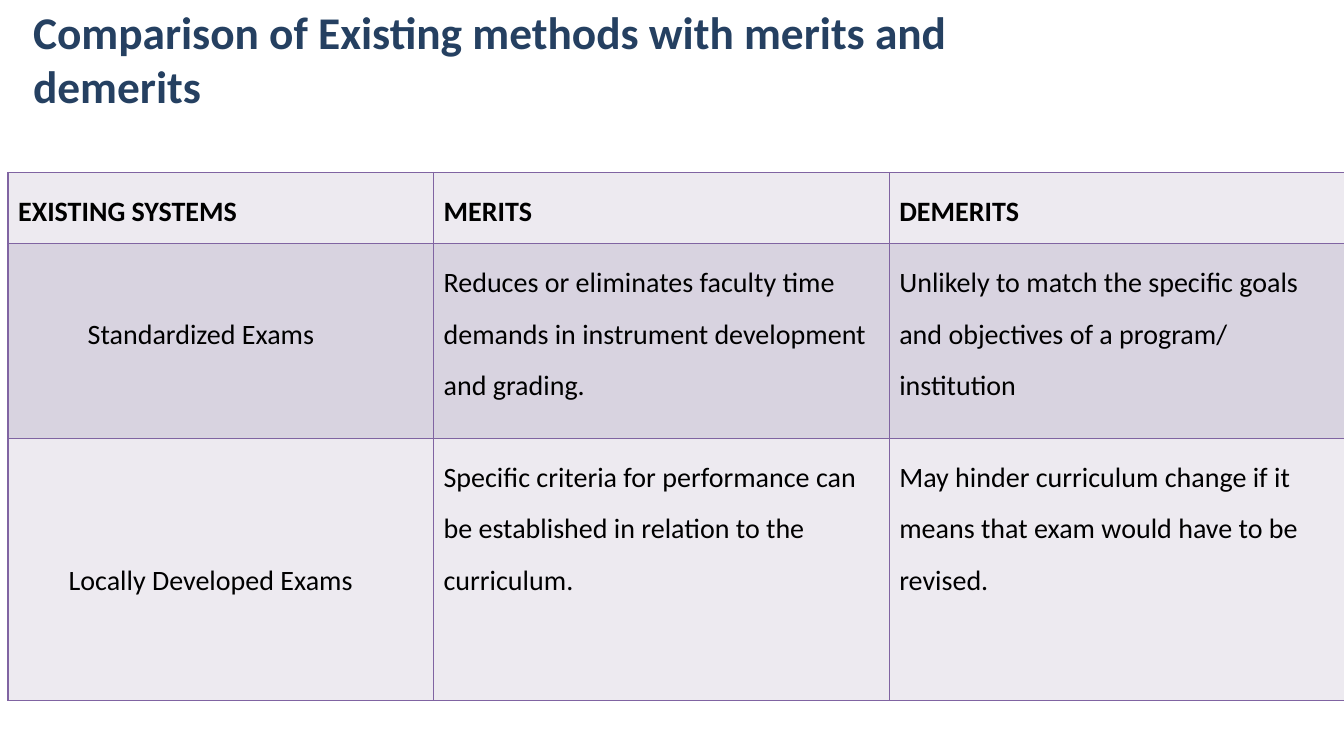
from lxml import etree
from pptx import Presentation
from pptx.dml.color import RGBColor
from pptx.enum.text import MSO_ANCHOR
from pptx.oxml.ns import qn
from pptx.util import Pt

TOP = MSO_ANCHOR.TOP
PX = 9144
FONT = "Calibri"
NAVY, BLACK, PURPLE = "254061", "000000", "8064A2"
LIGHT, DARK = "EDEAF0", "D8D3E0"
LINE = 51
COLS = [422, 452, 452]
ROW_HEIGHTS = [71, 193, 260]
ROWS = [
    [["EXISTING SYSTEMS"], ["MERITS"], ["DEMERITS"]],
    [["Standardized Exams"],
     ["Reduces or eliminates faculty time demands in instrument development and grading."],
     ["Unlikely to match the specific goals and objectives of a program/", "institution"]],
    [["Locally Developed Exams"],
     ["Specific criteria for performance can be established in relation to the", "curriculum."],
     ["May hinder curriculum change if it means that exam would have to be", "revised."]],
]
NAME_INDENTS = [0, 69, 50]


def px(n):
    """Turn pixels into EMU."""
    return n * PX


def rgb(color):
    """Turn a hex string into a colour."""
    return RGBColor.from_string(color)


def add_run(p, text, size, color, bold=False):
    """Add one formatted run to a paragraph."""
    r = p.add_run()
    r.text = text
    r.font.name = FONT
    r.font.size = Pt(size)
    r.font.bold = bold
    r.font.color.rgb = rgb(color)


def add_title(s, text, x, y, w, h):
    """Add the heading in a wrapping text box."""
    tf = s.shapes.add_textbox(px(x), px(y), px(w), px(h)).text_frame
    tf.word_wrap = True
    tf.vertical_anchor = TOP
    tf.margin_top = 0
    add_run(tf.paragraphs[0], text, 32.4, NAVY, True)


def set_borders(cell, color, width):
    """Draw a solid line on all four sides of a cell."""
    tc_pr = cell._tc.get_or_add_tcPr()
    for i, side in enumerate(("a:lnL", "a:lnR", "a:lnT", "a:lnB")):
        ln = etree.Element(qn(side), w=str(Pt(width)))
        fill = etree.SubElement(ln, qn("a:solidFill"))
        etree.SubElement(fill, qn("a:srgbClr"), val=color)
        tc_pr.insert(i, ln)


def fill_cell(cell, lines, fill, bold, indent, drop):
    """Fill a cell and write its paragraphs, moved right and down as asked."""
    cell.fill.solid()
    cell.fill.fore_color.rgb = rgb(fill)
    set_borders(cell, PURPLE, 1)
    cell.vertical_anchor = TOP
    cell.margin_left = px(10 + indent)
    cell.margin_top = px(5 + drop)
    tf = cell.text_frame
    for i, line in enumerate(lines):
        p = tf.add_paragraph() if i else tf.paragraphs[0]
        p.line_spacing = 1.5
        add_run(p, line, 20, BLACK, bold)


def add_comparison(s, x, y):
    """Add the table of systems with their merits and demerits."""
    frame = s.shapes.add_table(len(ROWS), len(COLS), px(x), px(y),
                               px(sum(COLS)), px(sum(ROW_HEIGHTS)))
    table = frame.table
    table.first_row = table.horz_banding = False
    for col, width in zip(table.columns, COLS):
        col.width = px(width)
    for i, row in enumerate(ROWS):
        table.rows[i].height = px(ROW_HEIGHTS[i])
        for j, lines in enumerate(row):
            indent, drop = (NAME_INDENTS[i], i * LINE) if j == 0 else (0, 0)
            fill_cell(table.cell(i, j), lines, DARK if i % 2 else LIGHT,
                      i == 0, indent, drop)


def main():
    """Build and save the slide."""
    prs = Presentation()
    prs.slide_width, prs.slide_height = px(1333), px(750)
    s = prs.slides.add_slide(prs.slide_layouts[6])
    add_title(s, "Comparison of Existing methods with merits and demerits",
              23, 4, 1029, 159)
    add_comparison(s, 8, 171)
    prs.save("out.pptx")


if __name__ == "__main__":
    main()
